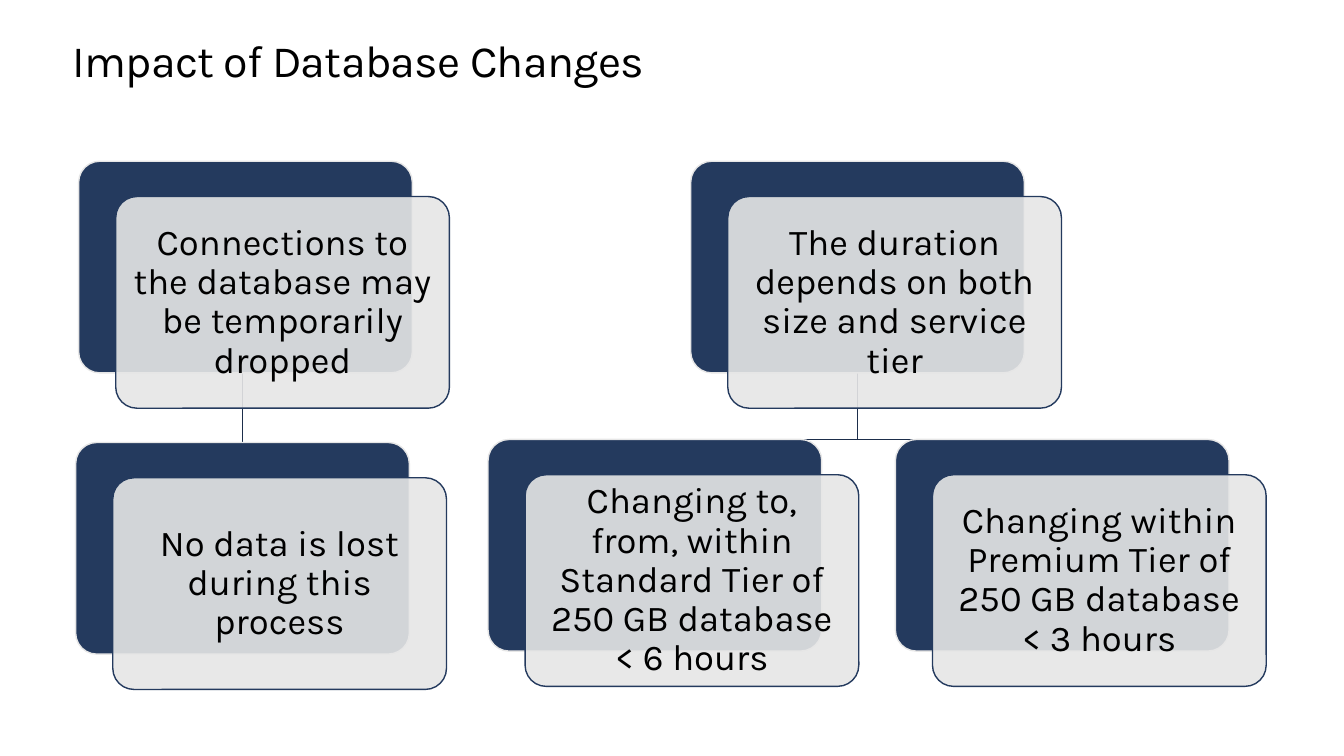
"""Build the slide on the impact of database changes."""
from dataclasses import dataclass

from lxml import etree
from pptx import Presentation
from pptx.dml.color import RGBColor
from pptx.enum.shapes import MSO_CONNECTOR, MSO_SHAPE
from pptx.enum.text import MSO_ANCHOR, MSO_AUTO_SIZE, PP_ALIGN
from pptx.oxml.ns import qn
from pptx.shapes.autoshape import Shape
from pptx.shapes.connector import Connector
from pptx.slide import Slide
from pptx.text.text import TextFrame
from pptx.util import Inches, Pt

STRAIGHT = MSO_CONNECTOR.STRAIGHT
ROUNDED = MSO_SHAPE.ROUNDED_RECTANGLE
TOP, MIDDLE = MSO_ANCHOR.TOP, MSO_ANCHOR.MIDDLE
LEFT, CENTER = PP_ALIGN.LEFT, PP_ALIGN.CENTER
FIT_SHAPE = MSO_AUTO_SIZE.SHAPE_TO_FIT_TEXT
TOP_SITE, BOTTOM_SITE = 0, 2
TITLE_ONLY = 5
SLIDE_WIDTH, SLIDE_HEIGHT = Inches(13.33), Inches(7.5)


@dataclass(frozen=True)
class Theme:
    """Colours, font and type sizes of the slide."""
    navy: RGBColor = RGBColor(0x24, 0x3A, 0x5E)
    connector: RGBColor = RGBColor(0x1D, 0x2E, 0x4B)
    panel: RGBColor = RGBColor(0xE6, 0xE6, 0xE6)
    white: RGBColor = RGBColor(0xFF, 0xFF, 0xFF)
    text: RGBColor = RGBColor(0, 0, 0)
    font: str = "Karla"
    title_size: Pt = Pt(32)
    title_leading: Pt = Pt(36.2)
    card_size: Pt = Pt(26)
    line_width: Pt = Pt(1)
    panel_opacity: int = 90


@dataclass(frozen=True)
class Card:
    """A card's text and top-left corner, in percent of the slide."""
    text: str
    left: float
    top: float


THEME = Theme()
CARD_WIDTH, CARD_HEIGHT = 24.83, 28
PANEL_SHIFT_X, PANEL_SHIFT_Y = 2.76, 4.67
PARENT_TOP, LEFT_CHILD_TOP, RIGHT_CHILD_TOP = 21.33, 58.53, 58.13

DROPPED = Card("Connections to the database may be temporarily dropped", 5.85, PARENT_TOP)
NO_LOSS = Card("No data is lost during this process", 5.63, LEFT_CHILD_TOP)
DURATION = Card("The duration depends on both size and service tier", 51.39, PARENT_TOP)
STANDARD = Card("Changing to, from, within Standard Tier of 250 GB database < 6 hours",
                36.31, RIGHT_CHILD_TOP)
PREMIUM = Card("Changing within Premium Tier of 250 GB database < 3 hours",
               66.62, RIGHT_CHILD_TOP)
CARDS = (DROPPED, NO_LOSS, DURATION, STANDARD, PREMIUM)


def across(percent: float) -> int:
    """Return a share of the slide's width."""
    return round(SLIDE_WIDTH * percent / 100)


def down(percent: float) -> int:
    """Return a share of the slide's height."""
    return round(SLIDE_HEIGHT * percent / 100)


def format_text(frame: TextFrame, size: Pt, align: PP_ALIGN, spacing: float | Pt) -> None:
    """Format the only paragraph of a text frame."""
    frame.word_wrap = True
    paragraph = frame.paragraphs[0]
    paragraph.alignment = align
    paragraph.line_spacing = spacing
    font = paragraph.runs[0].font
    font.name, font.size = THEME.font, size
    font.color.rgb = THEME.text


def set_margins(frame: TextFrame, margin: int) -> None:
    """Give a text frame the same margin on all sides."""
    frame.margin_left = frame.margin_right = margin
    frame.margin_top = frame.margin_bottom = margin


def add_title(slide: Slide, text: str) -> None:
    """Fill and place the title placeholder."""
    title = slide.shapes.title
    title.left, title.top = across(5.4), down(4.67)
    title.width, title.height = across(89.27), down(6.67)
    title.fill.solid()
    title.fill.fore_color.rgb = THEME.white
    frame = title.text_frame
    frame.text = text
    frame.vertical_anchor = TOP
    set_margins(frame, 0)
    format_text(frame, THEME.title_size, LEFT, THEME.title_leading)
    frame.auto_size = FIT_SHAPE
    frame.paragraphs[0].runs[0].font._element.set("spc", "-50")


def add_box(slide: Slide, left: float, top: float, fill: RGBColor, line: RGBColor) -> Shape:
    """Add one rounded box of card size."""
    box = slide.shapes.add_shape(ROUNDED, across(left), down(top),
                                 across(CARD_WIDTH), down(CARD_HEIGHT))
    box.adjustments[0] = 0.1
    box.shadow.inherit = False
    box.fill.solid()
    box.fill.fore_color.rgb = fill
    box.line.color.rgb = line
    box.line.width = THEME.line_width
    return box


def add_card(slide: Slide, card: Card) -> Shape:
    """Add a card with its text panel and return the back box."""
    back = add_box(slide, card.left, card.top, THEME.navy, THEME.panel)
    panel = add_box(slide, card.left + PANEL_SHIFT_X, card.top + PANEL_SHIFT_Y,
                    THEME.panel, THEME.navy)
    color = panel._element.spPr.find(qn("a:solidFill"))[0]
    etree.SubElement(color, qn("a:alpha")).set("val", str(THEME.panel_opacity * 1000))
    frame = panel.text_frame
    frame.text = card.text
    frame.vertical_anchor = MIDDLE
    set_margins(frame, Inches(0.11))
    format_text(frame, THEME.card_size, CENTER, 0.9)
    return back


def add_line(slide: Slide, start: tuple[float, float], end: tuple[float, float]) -> Connector:
    """Add a straight connector between two points in percent."""
    line = slide.shapes.add_connector(STRAIGHT, across(start[0]), down(start[1]),
                                      across(end[0]), down(end[1]))
    line.line.color.rgb = THEME.connector
    line.line.width = THEME.line_width
    etree.SubElement(line._element.spPr, qn("a:effectLst"))
    return line


def center(card: Card) -> float:
    """Return the horizontal centre of a card's back box."""
    return card.left + CARD_WIDTH / 2


def main() -> None:
    """Build and save the presentation."""
    presentation = Presentation()
    presentation.slide_width, presentation.slide_height = SLIDE_WIDTH, SLIDE_HEIGHT
    slide = presentation.slides.add_slide(presentation.slide_layouts[TITLE_ONLY])
    add_title(slide, "Impact of Database Changes")

    parent_bottom = PARENT_TOP + CARD_HEIGHT
    branch = add_line(slide, (center(STANDARD), RIGHT_CHILD_TOP),
                      (center(PREMIUM), RIGHT_CHILD_TOP))
    trunk = add_line(slide, (center(DURATION), parent_bottom),
                     (center(DURATION), RIGHT_CHILD_TOP))
    drop = add_line(slide, (center(NO_LOSS), parent_bottom),
                    (center(NO_LOSS), LEFT_CHILD_TOP))

    boxes = {card: add_card(slide, card) for card in CARDS}
    branch.begin_connect(boxes[STANDARD], TOP_SITE)
    branch.end_connect(boxes[PREMIUM], TOP_SITE)
    trunk.begin_connect(boxes[DURATION], BOTTOM_SITE)
    drop.end_connect(boxes[NO_LOSS], TOP_SITE)
    presentation.save("out.pptx")


if __name__ == "__main__":
    main()
